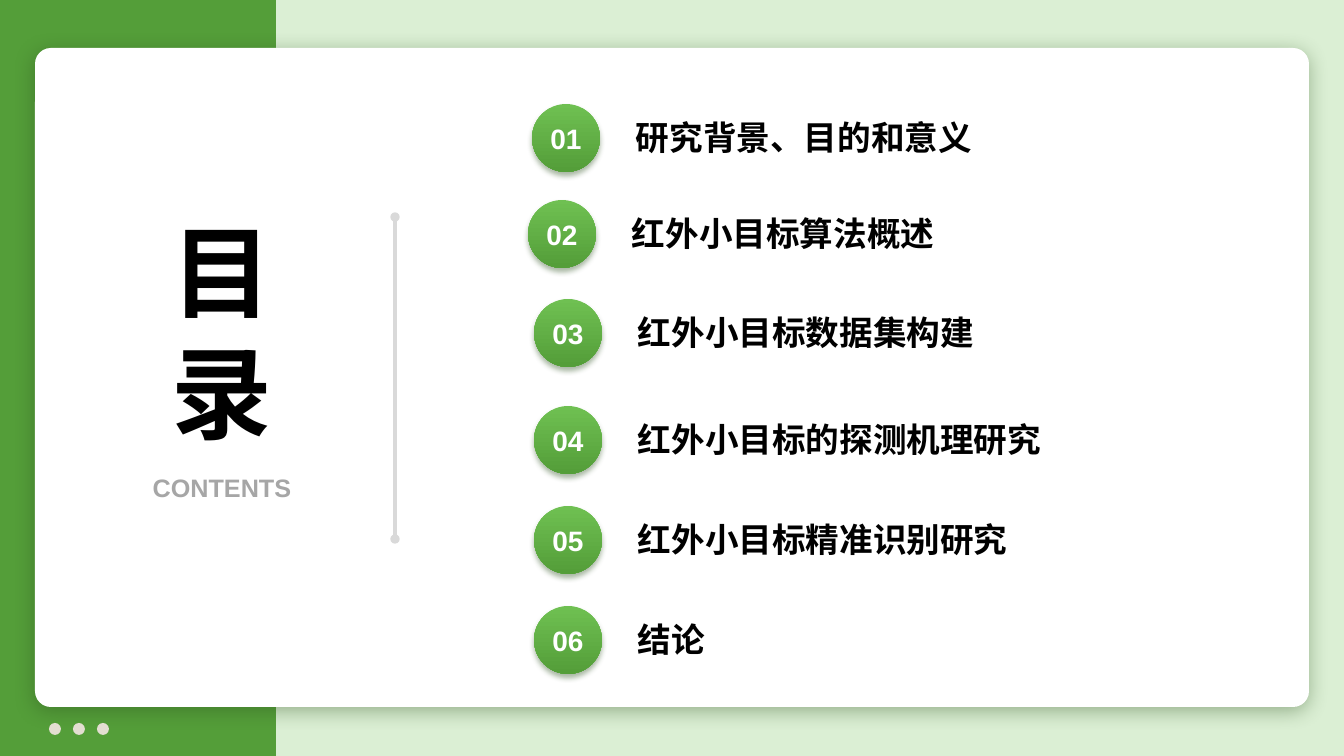
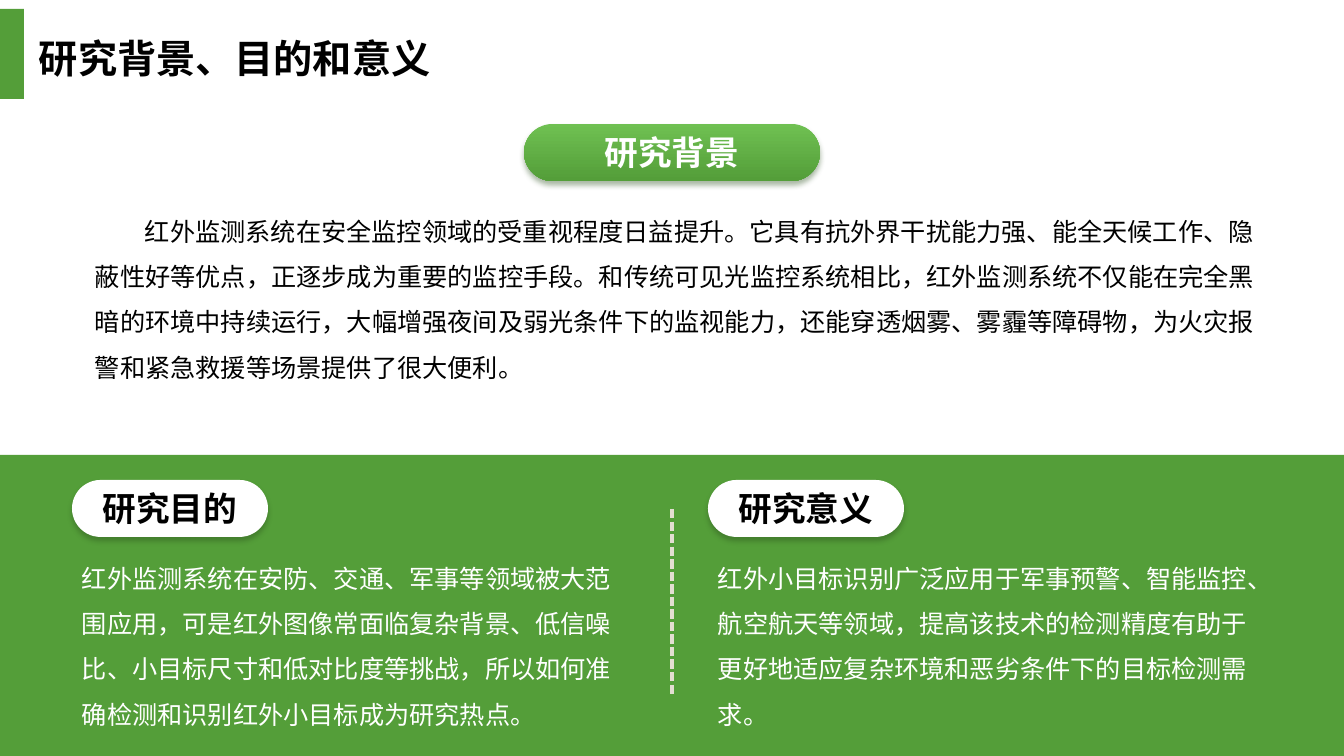
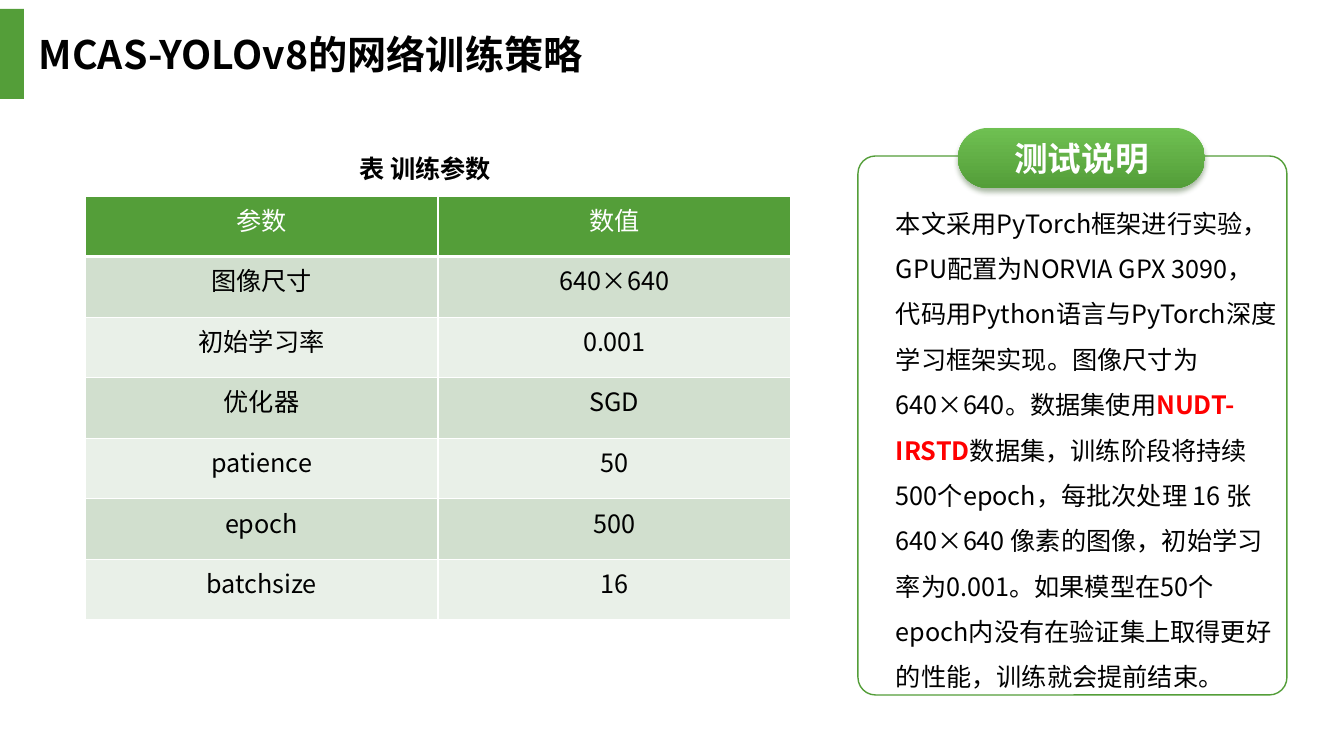
from dataclasses import dataclass

from pptx import Presentation
from pptx.dml.color import RGBColor
from pptx.enum.dml import MSO_LINE
from pptx.enum.shapes import MSO_CONNECTOR, MSO_SHAPE
from pptx.enum.text import MSO_ANCHOR, MSO_AUTO_SIZE, PP_ALIGN
from pptx.oxml.ns import qn
from pptx.util import Emu, Pt
from lxml import etree

RECT, ROUND, OVAL = MSO_SHAPE.RECTANGLE, MSO_SHAPE.ROUNDED_RECTANGLE, MSO_SHAPE.OVAL
STRAIGHT = MSO_CONNECTOR.STRAIGHT
LEFT, CENTER = PP_ALIGN.LEFT, PP_ALIGN.CENTER
MIDDLE = MSO_ANCHOR.MIDDLE
GROW = MSO_AUTO_SIZE.SHAPE_TO_FIT_TEXT
SYS_DASH = MSO_LINE.SQUARE_DOT
W, H = 1344, 756
SCALE = 12192000 / W


@dataclass(frozen=True)
class Theme:
    """Colours, fonts and type sizes of the deck."""
    green: str = "549E39"
    light_green: str = "6FC052"
    pale_green: str = "DBEFD4"
    shadow: str = "2A4F1C"
    band_dark: str = "D1DFCE"
    band_light: str = "E9F0E8"
    beige: str = "E3DED1"
    rule: str = "D9D9D9"
    muted: str = "A6A6A6"
    white: str = "FFFFFF"
    black: str = "000000"
    red: str = "FF0000"
    latin: str = "Arial"
    cjk: str = "Noto Sans CJK SC"
    display: int = 72
    title: int = 28
    heading: int = 24
    number: int = 20
    body: int = 18


T = Theme()
GRADIENT = (T.light_green, T.green)


def px(n):
    """Turn px into EMU."""
    return Emu(round(n * SCALE))


def rgb(color):
    """Turn a hex string into a colour."""
    return RGBColor.from_string(color)


def add_xml(parent, tag, **attrs):
    """Append a drawing element with the given attributes."""
    return etree.SubElement(parent, qn(tag), {k: str(v) for k, v in attrs.items()})


def write(tf, text, size=T.body, color=T.black, bold=False, font=T.cjk,
          align=LEFT, spacing=None, indent=0):
    """Write one paragraph, given as a string or a list of (text, overrides)."""
    tf.word_wrap = True
    p = tf.paragraphs[0]
    p.alignment = align
    if spacing:
        p.line_spacing = spacing
    if indent:
        p._p.get_or_add_pPr().set("indent", str(px(indent)))
    runs = [(text, {})] if isinstance(text, str) else text
    for words, changes in runs:
        style = {"color": color, "bold": bold, **changes}
        r = p.add_run()
        r.text = words
        r.font.size = Pt(size)
        r.font.bold = style["bold"]
        r.font.color.rgb = rgb(style["color"])
        r.font.name = font
        rPr = r._r.get_or_add_rPr()
        rPr.set("lang", "zh-CN")
        add_xml(rPr, "a:ea", typeface=T.cjk)


def add_text(s, box, text, **fmt):
    """Add a text box that grows with its text."""
    tf = s.shapes.add_textbox(*map(px, box)).text_frame
    write(tf, text, **fmt)
    tf.auto_size = GROW


def add_box(s, kind, box, fill=None, line=None, adj=None, blur=0):
    """Add a preset shape with a plain or gradient fill and optional shadow."""
    sp = s.shapes.add_shape(kind, *map(px, box))
    if adj is not None:
        sp.adjustments[0] = adj
    if fill is None:
        sp.fill.background()
    elif isinstance(fill, tuple):
        sp.fill.gradient()
        sp.fill.gradient_angle = 270
        for stop, color, position in zip(sp.fill.gradient_stops, fill, (0, 0.99)):
            stop.color.rgb = rgb(color)
            stop.position = position
    else:
        sp.fill.solid()
        sp.fill.fore_color.rgb = rgb(fill)
    if line:
        sp.line.color.rgb = rgb(line)
        sp.line.width = Pt(1)
    else:
        sp.line.fill.background()
    sp.shadow.inherit = False
    if blur:
        effects = sp._element.spPr.find(qn("a:effectLst"))
        shadow = add_xml(effects, "a:outerShdw", blurRad=Pt(blur), dist=Pt(3),
                         dir=5400000, algn="t", rotWithShape=0)
        add_xml(add_xml(shadow, "a:srgbClr", val=T.shadow), "a:alpha", val=40000)
    return sp


def add_rule(s, x, top, bottom, color, dash=None, ends=None):
    """Add a vertical line, dashed or with end marks."""
    c = s.shapes.add_connector(STRAIGHT, px(x), px(top), px(x), px(bottom))
    c.line.color.rgb = rgb(color)
    c.line.width = Pt(2.25)
    if dash:
        c.line.dash_style = dash
    if ends:
        ln = c.line._get_or_add_ln()
        add_xml(ln, "a:headEnd", type=ends)
        add_xml(ln, "a:tailEnd", type=ends)
    add_xml(c._element.spPr, "a:effectLst")


def add_pill(s, box, text, fill=GRADIENT, color=T.white):
    """Add a rounded heading label."""
    sp = add_box(s, ROUND, box, fill, adj=0.5, blur=4)
    sp.text_frame.vertical_anchor = MIDDLE
    write(sp.text_frame, text, size=T.heading, color=color, bold=True, align=CENTER)


def add_title(s, y, text):
    """Add the green tab and the slide title."""
    add_box(s, RECT, (0, 9, 24, 90), T.green)
    add_text(s, (29, y, 638, 57), text, size=T.title, bold=True)


def add_frame(s):
    """Add the contents backdrop, card and dots."""
    add_box(s, RECT, (0, 0, W, H), T.pale_green)
    add_box(s, RECT, (0, 0, 276, H), T.green)
    add_box(s, ROUND, (35, 48, 1274, 659), T.white, adj=0.024, blur=15)
    for i in range(3):
        add_box(s, OVAL, (49 + 24 * i, 723, 12, 12), T.beige)


def add_entry(s, x, y, number, label):
    """Add a numbered contents entry at its top left corner."""
    sp = add_box(s, OVAL, (x, y, 68, 68), GRADIENT, blur=4)
    tf = sp.text_frame
    tf.margin_left = tf.margin_right = tf.margin_top = tf.margin_bottom = 0
    tf.vertical_anchor = MIDDLE
    write(tf, f"{number:02d}", size=T.number, color=T.white, bold=True,
          font=T.latin, align=CENTER)
    add_text(s, (x + 94, y + 8, 438, 50), label, size=T.heading, bold=True)


def add_column(s, box, heading, text):
    """Add a white pill over a white paragraph."""
    x, y, w, h = box
    add_pill(s, (x, y, 196, 57), heading, T.white, T.black)
    add_text(s, (x, y + 63, w, h - 63), text, color=T.white, spacing=1.5)


def add_note(s, box, heading, text):
    """Add an outlined panel with a pill across its top edge."""
    x, y, w, h = box
    add_box(s, ROUND, box, line=T.green, adj=0.041)
    add_pill(s, (x + 100, y - 28, 247, 60), heading)
    add_text(s, (x + 28, y + 32, w - 28, h - 25), text, spacing=1.5)


def set_borders(cell, row):
    """Give a cell white borders, thick below the header row."""
    tcPr = cell._tc.get_or_add_tcPr()
    thick = {"T": row == 1, "B": row == 0}
    for side in "LRTB":
        ln = add_xml(tcPr, f"a:ln{side}", w=Pt(3 if thick.get(side) else 1))
        add_xml(add_xml(ln, "a:solidFill"), "a:srgbClr", val=T.white)


def add_params(s, box, rows):
    """Add the banded table of parameters."""
    table = s.shapes.add_table(len(rows), len(rows[0]), *map(px, box)).table
    table.first_row = table.horz_banding = False
    for i, row in enumerate(rows):
        band = T.band_dark if i % 2 else T.band_light
        for j, text in enumerate(row):
            cell = table.cell(i, j)
            set_borders(cell, i)
            cell.fill.solid()
            cell.fill.fore_color.rgb = rgb(band if i else T.green)
            write(cell.text_frame, text, color=T.black if i else T.white, align=CENTER)


def contents_slide(s):
    """Build the contents slide."""
    add_frame(s)
    add_text(s, (148, 205, 148, 254), "目录", size=T.display, bold=True,
             font=T.latin, align=CENTER)
    add_text(s, (134, 467, 176, 40), "CONTENTS", color=T.muted, bold=True,
             font=T.latin, align=CENTER)
    add_rule(s, 395, 217, 539, T.rule, ends="oval")
    entries = [
        (532, 104, "研究背景、目的和意义"),
        (528, 200, "红外小目标算法概述"),
        (534, 299, "红外小目标数据集构建"),
        (534, 406, "红外小目标的探测机理研究"),
        (534, 506, "红外小目标精准识别研究"),
        (534, 606, "结论"),
    ]
    for number, (x, y, label) in enumerate(entries, 1):
        add_entry(s, x, y, number, label)


def background_slide(s):
    """Build the slide on background, aim and significance."""
    add_box(s, RECT, (0, 455, W, H - 455), T.green)
    add_title(s, 29, "研究背景、目的和意义")
    add_pill(s, (524, 124, 296, 57), "研究背景")
    add_text(s, (85, 196, 1200, 194),
             "红外监测系统在安全监控领域的受重视程度日益提升。它具有抗外界干扰能力强、"
             "能全天候工作、隐蔽性好等优点，正逐步成为重要的监控手段。和传统可见光监控系统相比，"
             "红外监测系统不仅能在完全黑暗的环境中持续运行，大幅增强夜间及弱光条件下的监视能力，"
             "还能穿透烟雾、雾霾等障碍物，为火灾报警和紧急救援等场景提供了很大便利。",
             spacing=1.5, indent=50)
    columns = [
        (72, "研究目的",
         "红外监测系统在安防、交通、军事等领域被大范围应用，可是红外图像常面临复杂背景、"
         "低信噪比、小目标尺寸和低对比度等挑战，所以如何准确检测和识别红外小目标成为研究热点。"),
        (708, "研究意义",
         "红外小目标识别广泛应用于军事预警、智能监控、航空航天等领域，"
         "提高该技术的检测精度有助于更好地适应复杂环境和恶劣条件下的目标检测需求。"),
    ]
    for x, heading, text in columns:
        add_column(s, (x, 480, 550, 257), heading, text)
    add_rule(s, 672, 509, 696, T.beige, dash=SYS_DASH)


def training_slide(s):
    """Build the slide on the training strategy."""
    add_title(s, 25, "MCAS-YOLOv8的网络训练策略")
    add_text(s, (196, 148, 458, 40), "表 训练参数", bold=True, align=CENTER)
    add_note(s, (858, 156, 429, 539), "测试说明", [
        ("本文采用PyTorch框架进行实验，GPU配置为NORVIA GPX 3090，代码用Python语言与"
         "PyTorch深度学习框架实现。图像尺寸为640×640。数据集使用", {}),
        ("NUDT-IRSTD", {"color": T.red, "bold": True}),
        ("数据集，训练阶段将持续500个epoch，每批次处理 16 张 640×640 像素的图像，"
         "初始学习率为0.001。如果模型在50个epoch内没有在验证集上取得更好的性能，"
         "训练就会提前结束。", {}),
    ])
    add_params(s, (85, 196, 706, 424), [
        ("参数", "数值"),
        ("图像尺寸", "640×640"),
        ("初始学习率", "0.001"),
        ("优化器", "SGD"),
        ("patience", "50"),
        ("epoch", "500"),
        ("batchsize", "16"),
    ])


def main():
    """Build and save the deck."""
    prs = Presentation()
    prs.slide_width, prs.slide_height = px(W), px(H)
    for build in (contents_slide, background_slide, training_slide):
        build(prs.slides.add_slide(prs.slide_layouts[6]))
    prs.save("out.pptx")


if __name__ == "__main__":
    main()
